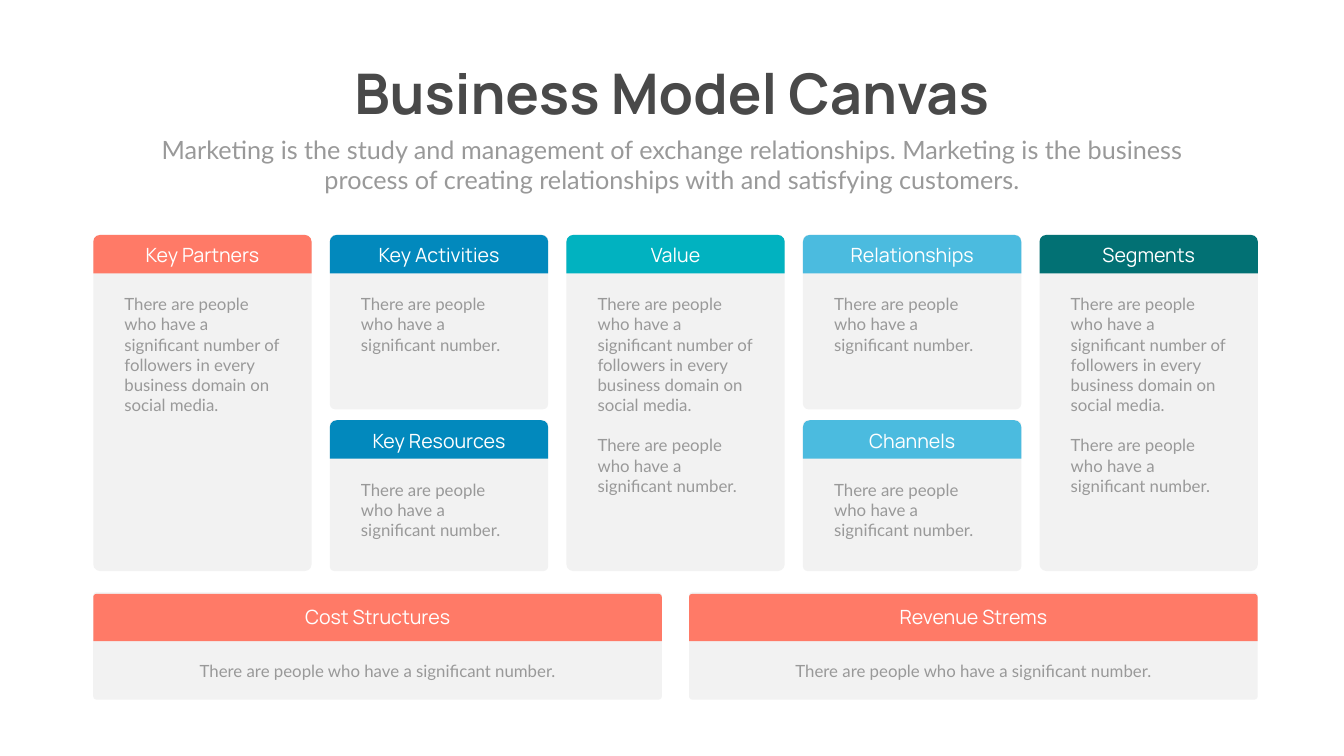
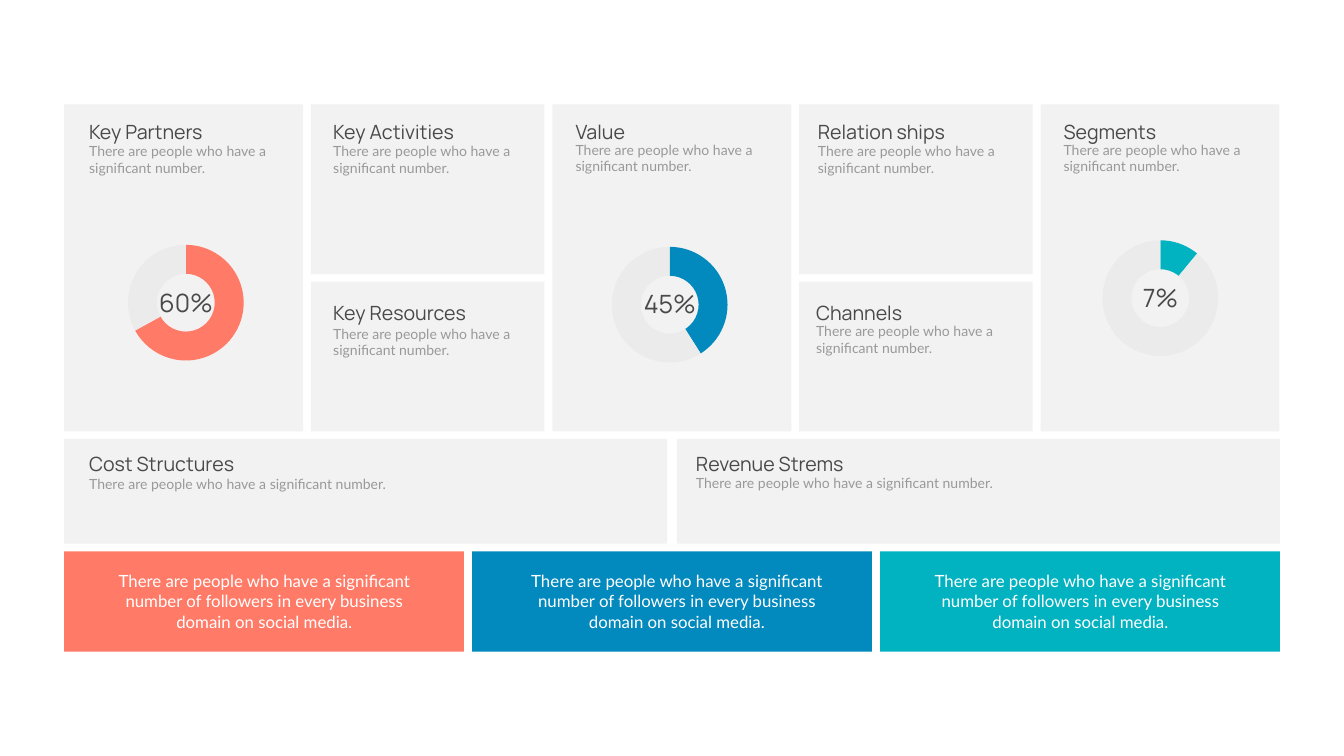
from pptx import Presentation
from pptx.chart.data import CategoryChartData
from pptx.dml.color import RGBColor
from pptx.enum.chart import XL_CHART_TYPE
from pptx.enum.shapes import MSO_SHAPE
from pptx.enum.text import MSO_ANCHOR, MSO_AUTO_SIZE, PP_ALIGN
from pptx.util import Cm, Pt

ROUNDED = MSO_SHAPE.ROUNDED_RECTANGLE
ROUNDED_TOP = MSO_SHAPE.ROUND_2_SAME_RECTANGLE
DOUGHNUT = XL_CHART_TYPE.DOUGHNUT
LEFT, CENTER = PP_ALIGN.LEFT, PP_ALIGN.CENTER
TOP = MSO_ANCHOR.TOP
FIT_SHAPE, NO_FIT = MSO_AUTO_SIZE.SHAPE_TO_FIT_TEXT, MSO_AUTO_SIZE.NONE

# Shared palette, fonts and sample text
DARK, GREY, WHITE = "494949", "999999", "FFFFFF"
PANEL, RING = "F2F2F2", "EBEBEB"
CORAL, BLUE, TEAL, SKY, GREEN = "FF7A67", "0289BD", "01B2C0", "4BBBDF", "027174"
HEAD_FONT, BODY_FONT = "Manrope", "Lato"
SHORT = "There are people who have a significant number."
LONG = ("There are people who have a significant number of followers "
        "in every business domain on social media.")


def rgb(color):
    return RGBColor.from_string(color)


def style(paragraph, font_name, size, color, align=LEFT, bold=False):
    paragraph.alignment = align
    paragraph.space_before = Pt(0)
    font = paragraph.font
    font.name, font.size, font.bold = font_name, Pt(size), bold
    font.color.rgb = rgb(color)


def place(shape, left, top, width, height):
    shape.left, shape.top = Cm(left), Cm(top)
    shape.width, shape.height = Cm(width), Cm(height)


def add_text(slide, box, paragraphs, font_name, size, color, align=LEFT):
    """Text box; later paragraphs stand one line apart."""
    frame = slide.shapes.add_textbox(*map(Cm, box)).text_frame
    frame.word_wrap = True
    frame.auto_size = FIT_SHAPE
    frame.text = "\n".join(paragraphs)
    for index, paragraph in enumerate(frame.paragraphs):
        style(paragraph, font_name, size, color, align)
        if index:
            paragraph.space_before = Pt(size * 1.2)


def add_heading(slide, box, text, color, align=LEFT):
    add_text(slide, box, [text], HEAD_FONT, 28, color, align)


def add_panel(slide, box, color, rounding=0.0, kind=ROUNDED):
    panel = slide.shapes.add_shape(kind, *map(Cm, box))
    panel.adjustments[0] = rounding
    panel.shadow.inherit = False
    panel.fill.solid()
    panel.fill.fore_color.rgb = rgb(color)
    panel.line.fill.background()


def fill_placeholder(holder, box, text, font_name, size, color, bold=False):
    place(holder, *box)
    frame = holder.text_frame
    frame.text = text
    frame.word_wrap = True
    frame.auto_size = NO_FIT
    frame.vertical_anchor = TOP
    style(frame.paragraphs[0], font_name, size, color, CENTER, bold)


def add_column_card(slide, left, top, height, title, color, body, body_height):
    """Rounded card with a coloured cap and left-aligned body."""
    width, label_width = 11, 7.72
    add_panel(slide, (left, top, width, height), PANEL, 0.031)
    add_panel(slide, (left, top, width, 1.94), color, 0.176, ROUNDED_TOP)
    label_left = left + (width - label_width) / 2
    add_heading(slide, (label_left, top + 0.3, label_width, 1.45), title, WHITE, CENTER)
    add_text(slide, (left + 1.32, top + 2.85, 8.38, body_height), body,
             BODY_FONT, 24, GREY)


def add_wide_card(slide, left, title):
    """Bottom card with a cap and one centred line."""
    top, width = 29.85, 28.65
    add_panel(slide, (left, top, width, 5.41), PANEL, 0.031)
    add_panel(slide, (left, top + 0.08, width, 2.38), CORAL, 0.07, ROUNDED_TOP)
    add_heading(slide, (left + 8.43, top + 0.53, 11.79, 1.45), title, WHITE, CENTER)
    add_text(slide, (left + 4.52, top + 3.3, 19.61, 1.27), [SHORT],
             BODY_FONT, 24, GREY, CENTER)


def add_donut(slide, left, top, share, color, label):
    data = CategoryChartData()
    data.categories = ["1", "2"]
    data.add_series("Series 1", (share, 100 - share))
    frame = slide.shapes.add_chart(DOUGHNUT, Cm(left), Cm(top), Cm(6.99), Cm(6.53), data)
    chart = frame.chart
    chart.has_legend = chart.has_title = False
    chart.font.name, chart.font.size = "Calibri", Pt(10)
    chart.font.color.rgb = rgb(GREY)
    plot = chart.plots[0]
    plot.vary_by_categories = True
    for index, slice_color in enumerate((color, RING)):
        slice_format = plot.series[0].points[index].format
        slice_format.fill.solid()
        slice_format.fill.fore_color.rgb = rgb(slice_color)
        slice_format.line.fill.background()
    for hole in chart.element.xpath(".//c:holeSize"):
        hole.set("val", "75")
    add_text(slide, (left + 1.55, top + 2.34, 3.91, 1.8), [label],
             HEAD_FONT, 36, DARK, CENTER)


def build_canvas(prs):
    slide = prs.slides.add_slide(prs.slide_layouts[0])
    fill_placeholder(slide.shapes.title, (17.09, 2.84, 33.53, 3.68),
                     "Business Model Canvas", HEAD_FONT, 80, DARK, True)
    fill_placeholder(slide.placeholders[1], (7.42, 6.63, 52.88, 3.33),
                     "Marketing is the study and management of exchange relationships. "
                     "Marketing is the business process of creating relationships "
                     "with and satisfying customers.", BODY_FONT, 36, GREY)

    # Five columns: full height, or split into an upper and a lower card
    left, pitch = 4.7, 11.92
    full, upper, lower = (11.84, 16.94), (11.84, 8.79), (21.18, 7.6)
    cards = [
        (0, full, "Key Partners", CORAL, [LONG], 6.4),
        (1, upper, "Key Activities", BLUE, [SHORT], 3.33),
        (1, lower, "Key Resources", BLUE, [SHORT], 3.33),
        (2, full, "Value", TEAL, [LONG, SHORT], 10.52),
        (3, upper, "Relationships", SKY, [SHORT], 3.33),
        (3, lower, "Channels", SKY, [SHORT], 3.33),
        (4, full, "Segments", GREEN, [LONG, SHORT], 10.52),
    ]
    for column, (top, height), *content in cards:
        add_column_card(slide, left + column * pitch, top, height, *content)

    for index, title in enumerate(("Cost Structures", "Revenue Strems")):
        add_wide_card(slide, left + index * 30.02, title)


def build_dashboard(prs):
    slide = prs.slides.add_slide(prs.slide_layouts[6])

    # Panels: outer and middle columns run full height, the others are split
    left, gap = 3.23, 0.4
    for column in range(5):
        split = column % 2 == 1
        width = 11.76 if split else 12.04
        rows = [(5.26, 8.56), (14.2, 7.54)] if split else [(5.26, 16.48)]
        for top, height in rows:
            add_panel(slide, (left, top, width, height), PANEL)
        left += width + gap
    for index in range(2):
        add_panel(slide, (3.23 + index * 30.88, 22.12, 30.38, 5.28), PANEL)

    # Headings with their notes: text left, heading top and width, note top
    notes = [
        ("Key Partners", 4.24, 5.94, 7.67, 7.06),
        ("Key Activities", 16.54, 5.94, 8.76, 7.06),
        ("Value", 28.75, 5.94, 6.07, 6.99),
        ("Relation ships", 40.96, 5.94, 8.76, 7.06),
        ("Segments", 53.34, 5.94, 6.07, 6.99),
        ("Key Resources", 16.54, 15.04, 8.84, 16.26),
        ("Channels", 40.87, 15.04, 6.12, 16.15),
        ("Cost Structures", 4.24, 22.66, 9.65, 23.83),
        ("Revenue Strems", 34.82, 22.66, 9.65, 23.8),
    ]
    for title, text_left, top, heading_width, note_top in notes:
        wide = top > 22
        add_heading(slide, (text_left, top, heading_width, 1.07 if wide else 1.42),
                    title, DARK)
        note_size = (15.98, 0.81) if wide else (9.75, 1.42)
        add_text(slide, (text_left, note_top, *note_size), [SHORT],
                 BODY_FONT, 20, GREY)

    add_donut(slide, 5.87, 11.99, 67, CORAL, "60%")
    add_donut(slide, 30.25, 12.09, 41, BLUE, "45%")
    add_donut(slide, 54.97, 11.76, 11, TEAL, "7%")

    # Coloured banners
    banners = [(CORAL, 1.93), (BLUE, 2.16), (TEAL, 1.93)]
    for index, (color, inset) in enumerate(banners):
        banner_left = 3.23 + index * 20.56
        add_panel(slide, (banner_left, 27.79, 20.14, 5.05), color)
        add_text(slide, (banner_left + inset, 28.65, 16.31, 3.33), [LONG],
                 BODY_FONT, 24, WHITE, CENTER)


def main():
    prs = Presentation()
    prs.slide_width, prs.slide_height = Cm(67.72), Cm(38.1)
    build_canvas(prs)
    build_dashboard(prs)
    prs.save("out.pptx")


if __name__ == "__main__":
    main()
